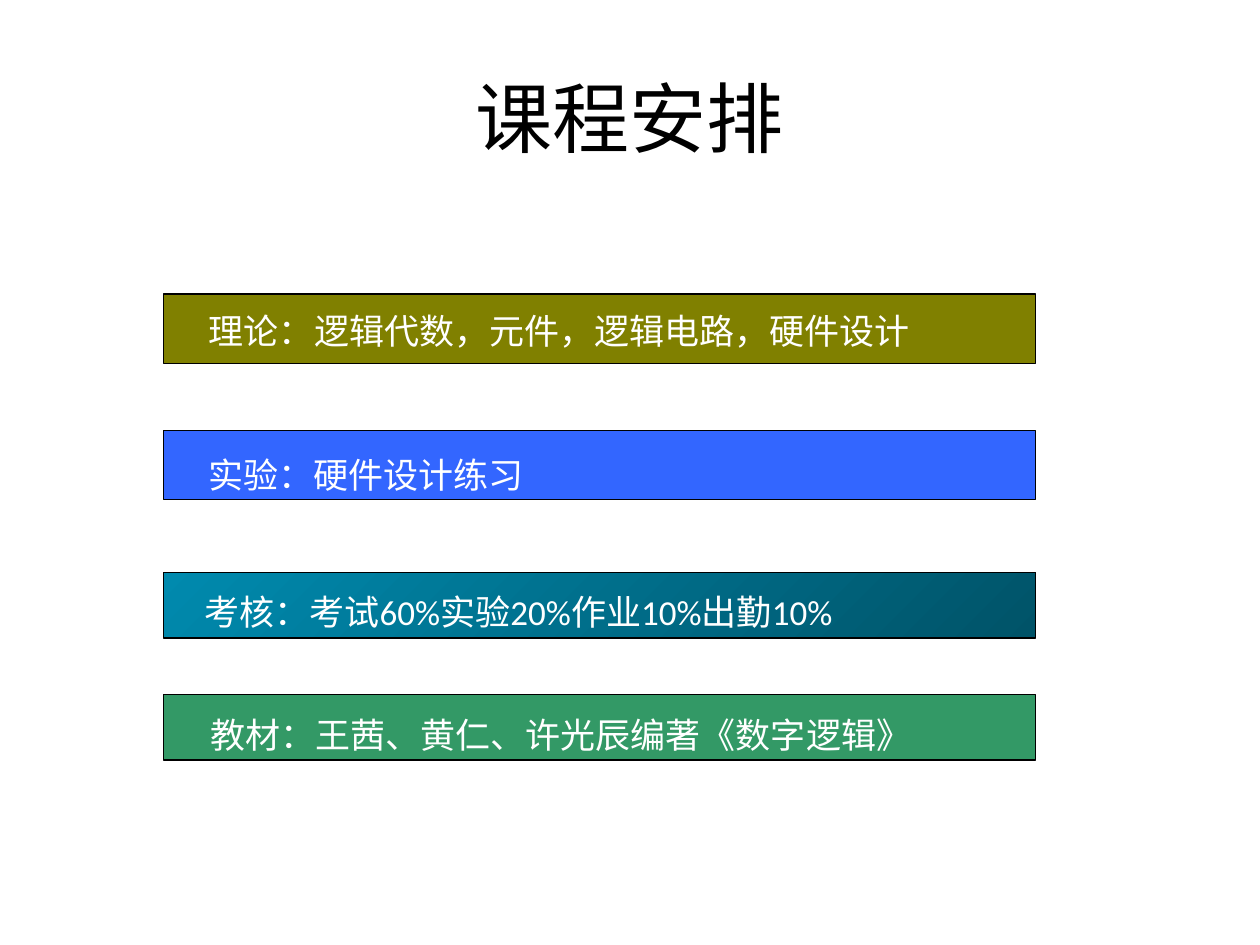
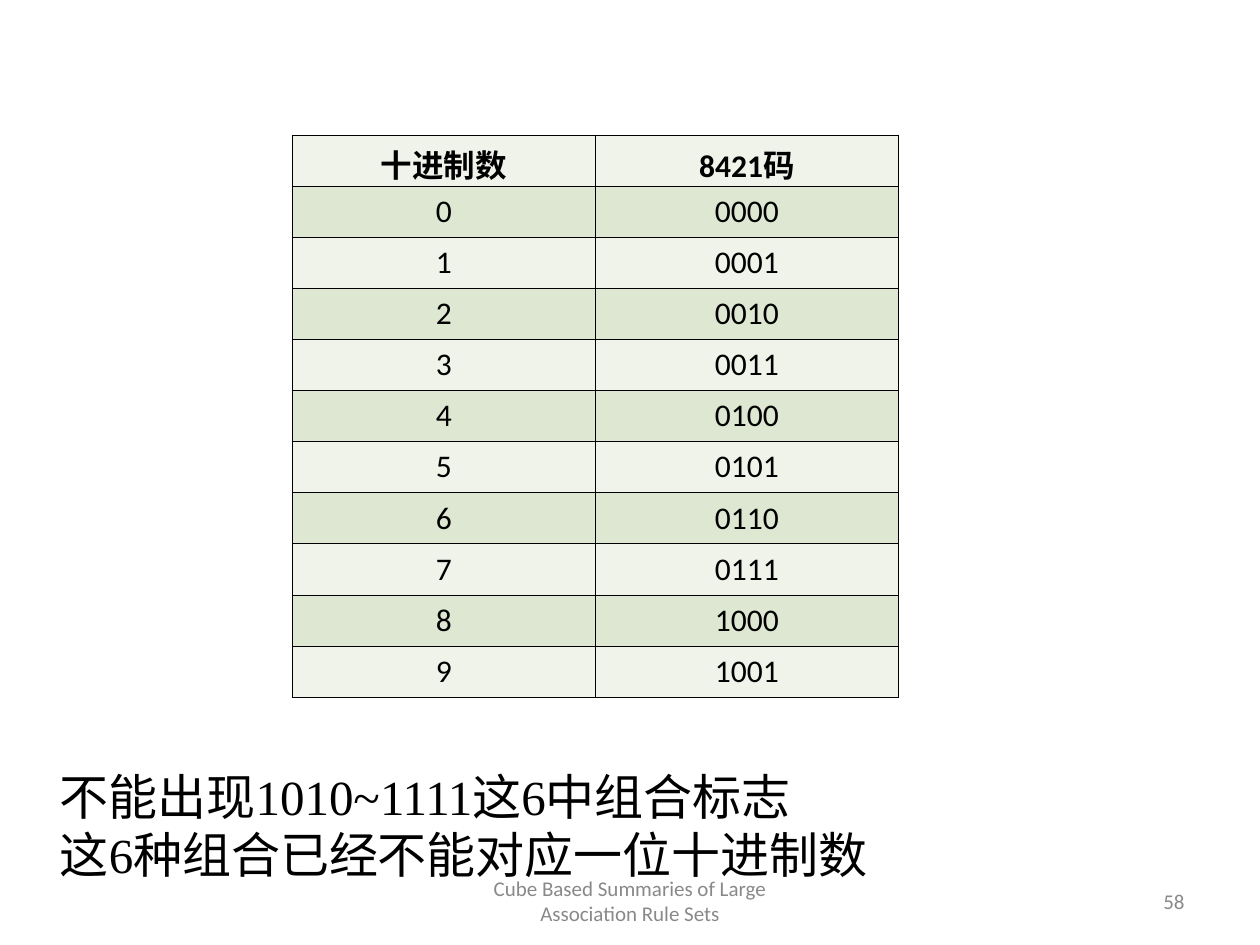
from lxml.etree import SubElement
from pptx import Presentation
from pptx.dml.color import RGBColor
from pptx.enum.shapes import MSO_SHAPE
from pptx.enum.text import MSO_ANCHOR, PP_ALIGN
from pptx.oxml.ns import qn
from pptx.util import Pt

BLACK = RGBColor(0x00, 0x00, 0x00)
WHITE = RGBColor(0xFF, 0xFF, 0xFF)
GREY = RGBColor(0x89, 0x89, 0x89)
OLIVE = RGBColor(0x80, 0x80, 0x00)
BLUE = RGBColor(0x33, 0x66, 0xFF)
TEAL = RGBColor(0x00, 0x8A, 0xAE)
DARK_TEAL = RGBColor(0x00, 0x53, 0x68)
GREEN = RGBColor(0x33, 0x99, 0x66)
PALE_ROW = RGBColor(0xEF, 0xF3, 0xEA)
GREEN_ROW = RGBColor(0xDE, 0xE7, 0xD1)
SANS = "Calibri"
SERIF = "Times New Roman"


def write_text(frame, text, size=18, font=SANS, color=BLACK, bold=False,
               align=PP_ALIGN.LEFT):
    frame.text = text
    for paragraph in frame.paragraphs:
        paragraph.alignment = align
        for run in paragraph.runs:
            run.font.size = Pt(size)
            run.font.name = font
            run.font.bold = bold
            run.font.color.rgb = color


def add_text(slide, left, top, width, height, text, anchor=MSO_ANCHOR.TOP, **text_format):
    frame = slide.shapes.add_textbox(Pt(left), Pt(top), Pt(width), Pt(height)).text_frame
    frame.word_wrap = True
    frame.vertical_anchor = anchor
    write_text(frame, text, **text_format)


presentation = Presentation()
presentation.slide_width = Pt(720)
presentation.slide_height = Pt(540)
blank_layout = presentation.slide_layouts[6]

plan_slide = presentation.slides.add_slide(blank_layout)
add_text(plan_slide, 36, 21.6, 648, 90, "课程安排", anchor=MSO_ANCHOR.MIDDLE,
         size=44, align=PP_ALIGN.CENTER)

plan_bars = [
    (168, 39.6, [OLIVE], 112.3, 173.5, SERIF, "理论：逻辑代数，元件，逻辑电路，硬件设计"),
    (246, 39.6, [BLUE], 111.9, 255.6, SERIF, "实验：硬件设计练习"),
    (327, 37.6, [TEAL, DARK_TEAL], 109.7, 334, SANS, "考核：考试60%实验20%作业10%出勤10%"),
    (396.7, 37.6, [GREEN], 113, 404, SANS, "教材：王茜、黄仁、许光辰编著《数字逻辑》"),
]
for bar_top, bar_height, colors, text_left, text_top, font, text in plan_bars:
    bar = plan_slide.shapes.add_shape(
        MSO_SHAPE.RECTANGLE, Pt(93.6), Pt(bar_top), Pt(498), Pt(bar_height))
    bar.shadow.inherit = False
    bar.line.color.rgb = BLACK
    bar.line.width = Pt(0.75)
    if len(colors) == 1:
        bar.fill.solid()
        bar.fill.fore_color.rgb = colors[0]
    else:
        bar.fill.gradient()
        bar.fill.gradient_angle = 315
        for position, (stop, color) in enumerate(zip(bar.fill.gradient_stops, colors)):
            stop.position = position
            stop.color.rgb = color
    add_text(plan_slide, text_left, text_top, 473, 31.5, text,
             size=20, font=font, color=WHITE)

code_slide = presentation.slides.add_slide(blank_layout)
add_text(code_slide, 246, 500.5, 228, 28.75,
         "Cube Based Summaries of Large Association Rule Sets",
         anchor=MSO_ANCHOR.MIDDLE, size=12, color=GREY, align=PP_ALIGN.CENTER)
add_text(code_slide, 516, 500.5, 168, 28.75, "58",
         anchor=MSO_ANCHOR.MIDDLE, size=12, color=GREY, align=PP_ALIGN.RIGHT)

code_rows = [("十进制数", "8421码")]
code_rows += [(str(digit), f"{digit:04b}") for digit in range(10)]
code_table = code_slide.shapes.add_table(
    len(code_rows), 2, Pt(167), Pt(77.2), Pt(346.4), Pt(321.2)).table
code_table.first_row = False
code_table.horz_banding = False
for row_index, values in enumerate(code_rows):
    code_table.rows[row_index].height = Pt(29.2)
    for column_index, value in enumerate(values):
        cell = code_table.cell(row_index, column_index)
        write_text(cell.text_frame, value, bold=row_index == 0, align=PP_ALIGN.CENTER)
        properties = cell._tc.get_or_add_tcPr()
        for side in ("a:lnL", "a:lnR", "a:lnT", "a:lnB"):
            border = SubElement(properties, qn(side), w=str(Pt(0.45)))
            border_fill = SubElement(border, qn("a:solidFill"))
            SubElement(border_fill, qn("a:srgbClr"), val=str(BLACK))
        cell.fill.solid()
        cell.fill.fore_color.rgb = GREEN_ROW if row_index % 2 else PALE_ROW

add_text(code_slide, 27.2, 434.2, 520, 75,
         "不能出现1010~1111这6中组合标志\n这6种组合已经不能对应一位十进制数",
         size=28, font=SERIF)

presentation.save("out.pptx")
